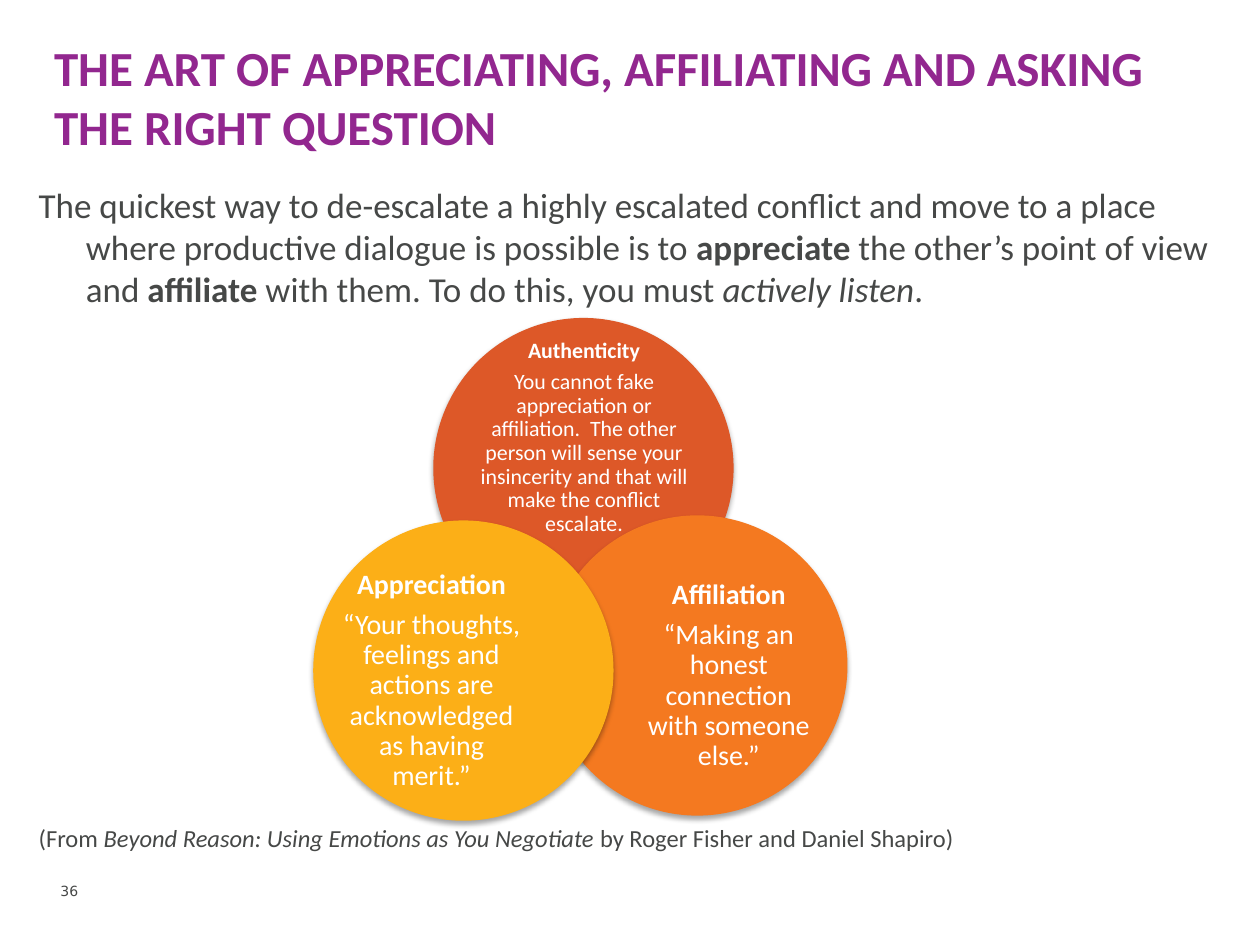
from lxml import etree
from pptx import Presentation
from pptx.dml.color import RGBColor
from pptx.enum import shapes, text
from pptx.oxml import ns
from pptx.util import Pt

COLORS = {
    "title": "92278F",
    "body": "464847",
    "white": "FFFFFF",
    "authenticity": "DD5828",
    "affiliation": "F47920",
    "appreciation": "FCAF17",
}


def add_text(s, box, paragraphs, size, color, font="Calibri", inset=(7.2, 3.6), frame=None, para=None):
    tf = s.shapes.add_textbox(*[Pt(v) for v in box]).text_frame
    x, y = inset
    frame_format = {
        "word_wrap": True,
        "margin_left": Pt(x),
        "margin_right": Pt(x),
        "margin_top": Pt(y),
        "margin_bottom": Pt(y),
        **(frame or {}),
    }
    for name, value in frame_format.items():
        setattr(tf, name, value)
    for i, runs in enumerate(paragraphs):
        p = tf.add_paragraph() if i else tf.paragraphs[0]
        for name, value in (para or {}).items():
            setattr(p, name, value)
        for words, style in runs:
            r = p.add_run()
            r.text = words
            r.font.color.rgb = RGBColor.from_string(COLORS[color])
            for name, value in {"name": font, "size": Pt(size), **style}.items():
                setattr(r.font, name, value)
    return tf


def add_shadow(sp):
    effects = etree.SubElement(sp._element.spPr, ns.qn("a:effectLst"))
    shadow = etree.SubElement(
        effects, ns.qn("a:outerShdw"),
        blurRad=str(Pt(3.1)), dist=str(Pt(1.8)), dir="5400000", rotWithShape="0",
    )
    black = etree.SubElement(shadow, ns.qn("a:srgbClr"), val="000000")
    etree.SubElement(black, ns.qn("a:alpha"), val="35000")


prs = Presentation()
prs.slide_width, prs.slide_height = Pt(720), Pt(540)
s = prs.slides.add_slide(prs.slide_layouts[6])

bold, italic = {"bold": True}, {"italic": True}

add_text(
    s, (23.8, 18, 681.8, 82),
    [[("THE ART OF APPRECIATING, AFFILIATING AND ASKING THE RIGHT QUESTION", bold)]],
    28, "title",
)

tf = add_text(
    s, (15, 101.5, 687, 82),
    [[
        ("The quickest way to de-escalate a highly escalated conflict and move to a place "
         "where productive dialogue is possible is to ", {}),
        ("appreciate", bold),
        (" the other’s point of view and ", {}),
        ("affiliate", bold),
        (" with them. To do this, you must ", {}),
        ("actively listen", italic),
        (".", {}),
    ]],
    20, "body",
)
pPr = tf.paragraphs[0]._p.get_or_add_pPr()
pPr.set("marL", str(Pt(27)))
pPr.set("indent", str(Pt(-27)))

add_text(
    s, (15, 466.5, 687, 25),
    [[
        ("(From ", {}),
        ("Beyond Reason: Using Emotions as You Negotiate ", italic),
        ("by Roger Fisher and Daniel Shapiro)", {}),
    ]],
    14, "body",
)

add_text(
    s, (27.4, 500.4, 32.4, 17.3), [[("36", {})]], 8, "body", font="DejaVu Sans",
    frame={"vertical_anchor": text.MSO_ANCHOR.MIDDLE},
)

diameter = 171.6
circles = [
    ("Authenticity",
     "You cannot fake appreciation or affiliation.  The other person will sense your "
     "insincerity and that will make the conflict escalate.",
     (247.6, 181.7), (270.7, 211.7, 126, 77), 12.5),
    ("Affiliation", "“Making an honest connection with someone else.”",
     (312.7, 294.5), (365, 339.1, 103, 94.3), 16),
    ("Appreciation", "“Your thoughts, feelings and actions are acknowledged as having merit.”",
     (179, 297.4), (195.1, 342, 103, 94.3), 16),
]
for heading, words, corner, box, size in circles:
    sp = s.shapes.add_shape(
        shapes.MSO_SHAPE.OVAL, *[Pt(v) for v in (*corner, diameter, diameter)]
    )
    sp.fill.solid()
    sp.fill.fore_color.rgb = RGBColor.from_string(COLORS[heading.lower()])
    sp.line.fill.background()
    add_shadow(sp)
    add_text(
        s, box, [[(heading, bold)], [(words, {})]], size, "white", inset=(0, 0),
        frame={"vertical_anchor": text.MSO_ANCHOR.MIDDLE},
        para={
            "alignment": text.PP_ALIGN.CENTER,
            "line_spacing": 0.9,
            "space_after": Pt(round(size * 0.35, 1)),
        },
    )

prs.save("out.pptx")
